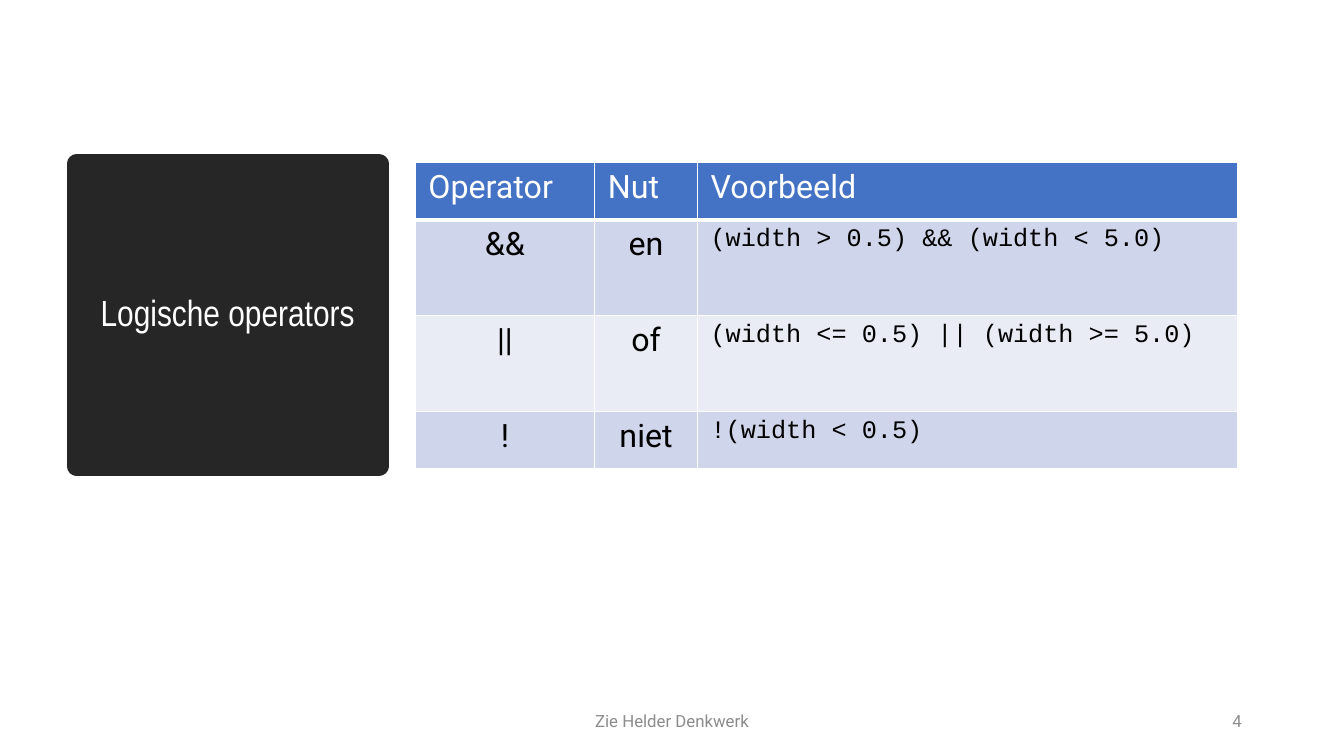
"""Build a slide with a table of the logical operators, beside a dark title block."""
from lxml.etree import SubElement
from pptx import Presentation
from pptx.dml.color import RGBColor
from pptx.enum.text import MSO_ANCHOR, MSO_AUTO_SIZE, PP_ALIGN
from pptx.oxml.ns import qn
from pptx.util import Inches, Pt

COLORS = {
    "block": "262626",
    "header": "4472C4",
    "odd": "CFD5EA",
    "even": "E9EBF5",
    "white": "FFFFFF",
    "black": "000000",
    "grey": "8C8C8C",
}


def share(left, top, width, height):
    """Turn percentages of the slide's size into lengths."""
    return [
        round(size * percent / 100)
        for size, percent in zip((deck.slide_width, deck.slide_height) * 2, (left, top, width, height))
    ]


def write(frame, text, size=23, font="Roboto", color="black", align=PP_ALIGN.LEFT, spacing=1.0):
    """Fill a text frame with one formatted paragraph."""
    frame.word_wrap = True
    paragraph = frame.paragraphs[0]
    paragraph.alignment = align
    paragraph.line_spacing = spacing
    run = paragraph.add_run()
    run.text = text
    run.font.size = Pt(size)
    run.font.name = font
    run.font.bold = False
    run.font.color.rgb = RGBColor.from_string(COLORS[color])


deck = Presentation()
deck.slide_width, deck.slide_height = Inches(13.33), Inches(7.5)
slide = deck.slides.add_slide(deck.slide_layouts[5])

title = slide.shapes.title
title.left, title.top, title.width, title.height = share(5.7, 21.67, 22.5, 40)
title.fill.solid()
title.fill.fore_color.rgb = RGBColor.from_string(COLORS["block"])
title.line.color.rgb = RGBColor.from_string(COLORS["block"])
title.line.width = Pt(13.75)
SubElement(title.line._get_or_add_ln(), qn("a:round"))
title.text_frame.auto_size = MSO_AUTO_SIZE.NONE
title.text_frame.vertical_anchor = MSO_ANCHOR.MIDDLE
write(title.text_frame, "Logische operators", size=26, font="Arial Narrow", color="white",
      align=PP_ALIGN.CENTER, spacing=0.9)

operators = [
    ("Operator", "Nut", "Voorbeeld"),
    ("&&", "en", "(width > 0.5) && (width < 5.0)"),
    ("||", "of", "(width <= 0.5) || (width >= 5.0)"),
    ("!", "niet", "!(width < 0.5)"),
]
column_shares = (13.35, 7.65, 40.2)
row_shares = (7.6, 12.67, 12.67, 7.6)
table = slide.shapes.add_table(
    len(operators), len(column_shares), *share(30.9, 21.47, sum(column_shares), sum(row_shares))
).table
for column, percent in zip(table.columns, column_shares):
    column.width = round(deck.slide_width * percent / 100)
for row, percent in zip(table.rows, row_shares):
    row.height = round(deck.slide_height * percent / 100)

for r, entries in enumerate(operators):
    for c, entry in enumerate(entries):
        cell = table.cell(r, c)
        cell.margin_left = cell.margin_right = Inches(0.13)
        cell.margin_top = cell.margin_bottom = Inches(0.06)
        for side in ("L", "R", "T", "B"):
            under_header = r == 0 and side == "B"
            border = SubElement(cell._tc.get_or_add_tcPr(), qn(f"a:ln{side}"),
                                w=str(Pt(3 if under_header else 1)))
            SubElement(SubElement(border, qn("a:solidFill")), qn("a:srgbClr"), val=COLORS["white"])
        cell.fill.solid()
        band = "header" if r == 0 else "odd" if r % 2 else "even"
        cell.fill.fore_color.rgb = RGBColor.from_string(COLORS[band])
        if r == 0:
            write(cell.text_frame, entry, color="white")
        elif c == 2:
            write(cell.text_frame, entry, size=18, font="Courier New")
        else:
            write(cell.text_frame, entry, align=PP_ALIGN.CENTER)

for text, left, width, align in (
    ("Zie Helder Denkwerk", 33.13, 33.75, PP_ALIGN.CENTER),
    ("4", 70.63, 22.5, PP_ALIGN.RIGHT),
):
    footer = slide.shapes.add_textbox(*share(left, 92.67, width, 5.33))
    footer.text_frame.vertical_anchor = MSO_ANCHOR.MIDDLE
    write(footer.text_frame, text, size=12, color="grey", align=align)

deck.save("out.pptx")
